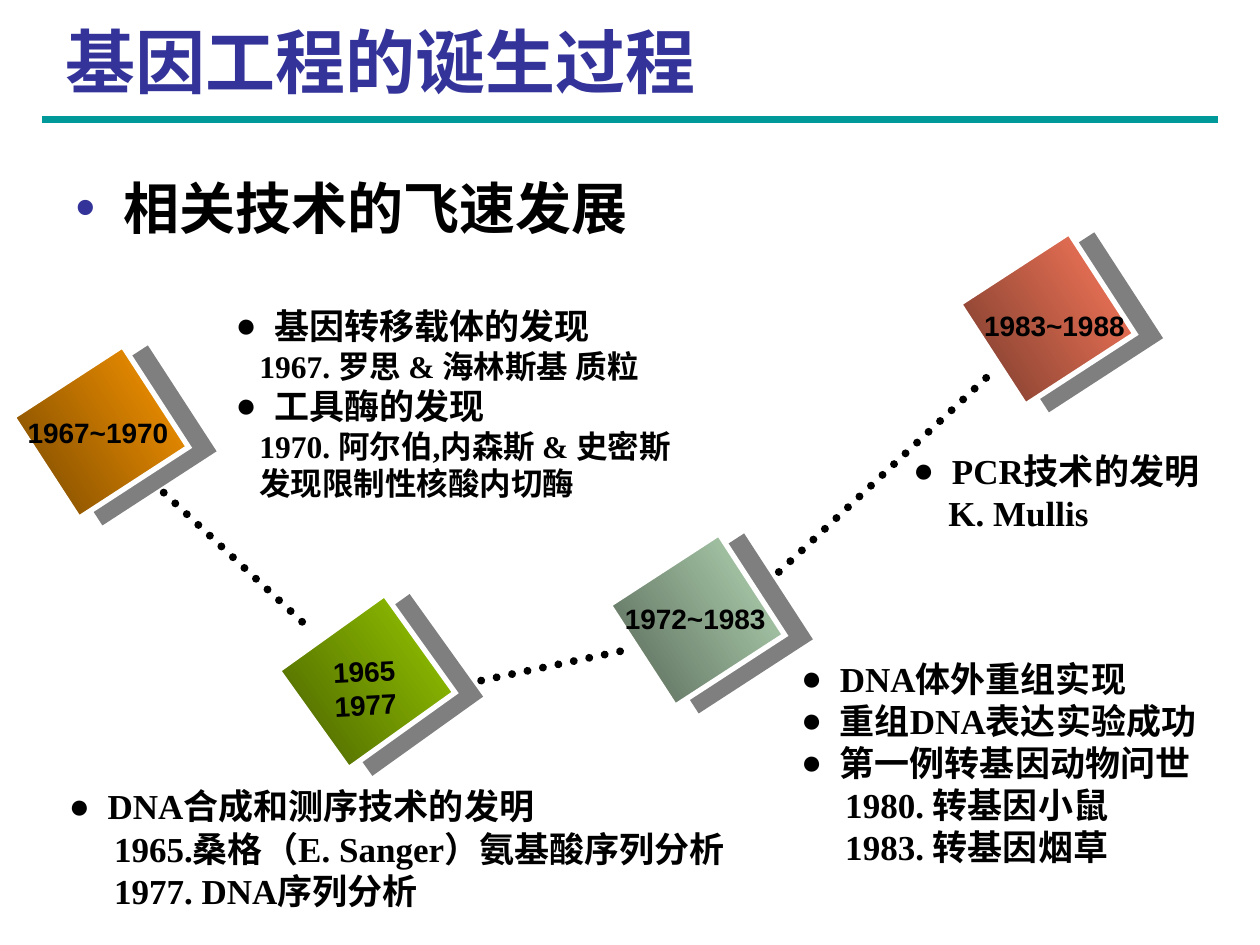
from pptx import Presentation
from pptx.dml.color import RGBColor
from pptx.enum.dml import MSO_LINE
from pptx.enum.shapes import MSO_CONNECTOR, MSO_SHAPE
from pptx.enum.text import MSO_ANCHOR, MSO_AUTO_SIZE, PP_ALIGN
from pptx.oxml.ns import qn
from pptx.oxml.xmlchemy import OxmlElement
from pptx.util import Cm, Pt

BLACK = RGBColor(0x00, 0x00, 0x00)
WHITE = RGBColor(0xFF, 0xFF, 0xFF)
NAVY = RGBColor(0x33, 0x33, 0x99)
TEAL = RGBColor(0x00, 0x99, 0x99)
ORANGE = RGBColor(0xFF, 0x99, 0x00), RGBColor(0x76, 0x47, 0x00)
GREEN = RGBColor(0x99, 0xCC, 0x00), RGBColor(0x47, 0x5E, 0x00)
SAGE = RGBColor(0xB7, 0xDA, 0xB8), RGBColor(0x55, 0x65, 0x55)
CORAL = RGBColor(0xFF, 0x7C, 0x5D), RGBColor(0x76, 0x39, 0x2B)

CHINESE_FONT = "Noto Sans CJK SC"

# Tile position, rotation, gradient; label box, rotation, text
MILESTONES = [
    ((0.81, 7.39), 57, ORANGE, (0.3, 8.26, 3.35, 0.94), 0, "1967~1970"),
    ((6.17, 12.42), 54.4, GREEN, (6.48, 13.06, 1.75, 1.63), 357.2, "1965\n1977"),
    ((12.83, 11.18), 57, SAGE, (12.34, 12.01, 3.35, 0.94), 0, "1972~1983"),
    ((19.89, 5.11), 57, CORAL, (19.58, 6.1, 3.35, 0.94), 0, "1983~1988"),
]
DOTTED_LINES = [
    (3.3, 9.93, 6.3, 12.73),
    (9.7, 13.72, 12.5, 13.13),
    (15.7, 11.53, 20.07, 7.44),
]
# Box, indent and size of the detail lines, then (is bullet, text)
NOTES = [
    ((15.9, 13.13, 8.81, 4.52), 0.89, 20, [
        (True, "DNA体外重组实现"),
        (True, "重组DNA表达实验成功"),
        (True, "第一例转基因动物问世"),
        (False, "1980. 转基因小鼠"),
        (False, "1983. 转基因烟草"),
    ]),
    ((4.5, 6.02, 13.0, 4.37), 0.48, 18, [
        (True, "基因转移载体的发现"),
        (False, "1967. 罗思 & 海林斯基 质粒"),
        (True, "工具酶的发现"),
        (False, "1970. 阿尔伯,内森斯 & 史密斯"),
        (False, "发现限制性核酸内切酶"),
    ]),
    ((1.14, 15.7, 14.6, 2.82), 0.91, 20, [
        (True, "DNA合成和测序技术的发明"),
        (False, "1965.桑格（E. Sanger）氨基酸序列分析"),
        (False, "1977. DNA序列分析"),
    ]),
    ((18.16, 8.94, 7.8, 1.96), 0.71, 20, [
        (True, "PCR技术的发明"),
        (False, "K. Mullis"),
    ]),
]


def add_element(parent, tag, **attributes):
    element = OxmlElement(tag)
    for name, value in attributes.items():
        element.set(name, str(value))
    parent.append(element)
    return element


def format_runs(paragraph, font_name, size, color):
    for run in paragraph.runs:
        run.font.name = font_name
        run.font.size = Pt(size)
        run.font.bold = True
        run.font.color.rgb = color
        add_element(run.font._element, "a:ea", typeface=CHINESE_FONT)


def set_indent(paragraph, left, first_line=0):
    properties = paragraph._p.get_or_add_pPr()
    properties.set("marL", str(Cm(left)))
    properties.set("indent", str(Cm(first_line)))
    return properties


def add_bullet(paragraph, character, color, left):
    """Give the paragraph a bullet with a hanging indent of left cm."""
    properties = set_indent(paragraph, left, -left)
    add_element(add_element(properties, "a:buClr"), "a:srgbClr", val=color)
    add_element(properties, "a:buFont", typeface="Arial")
    add_element(properties, "a:buChar", char=character)


def fill_placeholder(placeholder, box, text, size, color, anchor, line_spacing):
    placeholder.left, placeholder.top, placeholder.width, placeholder.height = map(Cm, box)
    frame = placeholder.text_frame
    frame.text = text
    frame.auto_size = MSO_AUTO_SIZE.NONE
    frame.vertical_anchor = anchor
    paragraph = frame.paragraphs[0]
    paragraph.alignment = PP_ALIGN.LEFT
    paragraph.line_spacing = line_spacing
    paragraph.space_before = Pt(0)
    format_runs(paragraph, CHINESE_FONT, size, color)
    return paragraph


def add_line(slide, ends, color, width, dotted=False):
    connector = slide.shapes.add_connector(MSO_CONNECTOR.STRAIGHT, *map(Cm, ends))
    connector.line.color.rgb = color
    connector.line.width = Pt(width)
    if dotted:
        connector.line.dash_style = MSO_LINE.ROUND_DOT
        connector.line._ln.set("cap", "rnd")
    add_element(connector._element.spPr, "a:effectLst")


def add_shadow(shape):
    shape.shadow.inherit = False
    effects = shape._element.spPr.find(qn("a:effectLst"))
    shadow = add_element(effects, "a:outerShdw", dist=Pt(14.1), dir=8 * 60000,
                         algn="ctr", rotWithShape=0)
    color = add_element(shadow, "a:srgbClr", val=BLACK)
    add_element(color, "a:alpha", val=50000)


def add_milestone(slide, position, rotation, colors, label_box, label_rotation, text):
    group = slide.shapes.add_group_shape()
    tile = group.shapes.add_shape(MSO_SHAPE.RECTANGLE, *map(Cm, position), Cm(2.44), Cm(2.64))
    tile.rotation = rotation
    tile.fill.gradient()
    tile.fill.gradient_angle = 270
    for stop, color in zip(tile.fill.gradient_stops, colors):
        stop.color.rgb = color
    tile.line.color.rgb = WHITE
    tile.line.width = Pt(3)
    add_element(tile.line._ln, "a:miter", lim=800000)
    add_shadow(tile)

    label = group.shapes.add_textbox(*map(Cm, label_box))
    label.rotation = label_rotation
    frame = label.text_frame
    frame.text = text
    frame.word_wrap = False
    frame.margin_left = frame.margin_right = Cm(0)
    for paragraph in frame.paragraphs:
        paragraph.alignment = PP_ALIGN.CENTER
        format_runs(paragraph, "Arial", 16, BLACK)


def add_note(slide, box, detail_indent, detail_size, lines):
    frame = slide.shapes.add_textbox(*map(Cm, box)).text_frame
    frame.word_wrap = True
    frame.text = "\n".join(text for _, text in lines)
    for paragraph, (is_bullet, _) in zip(frame.paragraphs, lines):
        if is_bullet:
            add_bullet(paragraph, "●", BLACK, 0.78)
        else:
            set_indent(paragraph, detail_indent)
        format_runs(paragraph, "Times New Roman", 20 if is_bullet else detail_size, BLACK)


def main():
    presentation = Presentation()
    presentation.slide_width, presentation.slide_height = Cm(25.4), Cm(19.05)
    slide = presentation.slides.add_slide(presentation.slide_layouts[1])

    add_line(slide, (0.84, 2.41, 24.56, 2.41), TEAL, 4)
    for milestone in MILESTONES:
        add_milestone(slide, *milestone)
    for ends in DOTTED_LINES:
        add_line(slide, ends, BLACK, 4.5, dotted=True)
    for note in NOTES:
        add_note(slide, *note)

    fill_placeholder(slide.shapes.title, (1.07, 0.43, 23.29, 1.8), "基因工程的诞生过程",
                     40, NAVY, MSO_ANCHOR.MIDDLE, 0.9)
    topic = fill_placeholder(slide.placeholders[1], (1.27, 2.69, 23.7, 2.06),
                             "相关技术的飞速发展", 32, BLACK, MSO_ANCHOR.TOP, 1.5)
    add_bullet(topic, "•", NAVY, 0.97)

    presentation.save("out.pptx")


if __name__ == "__main__":
    main()
